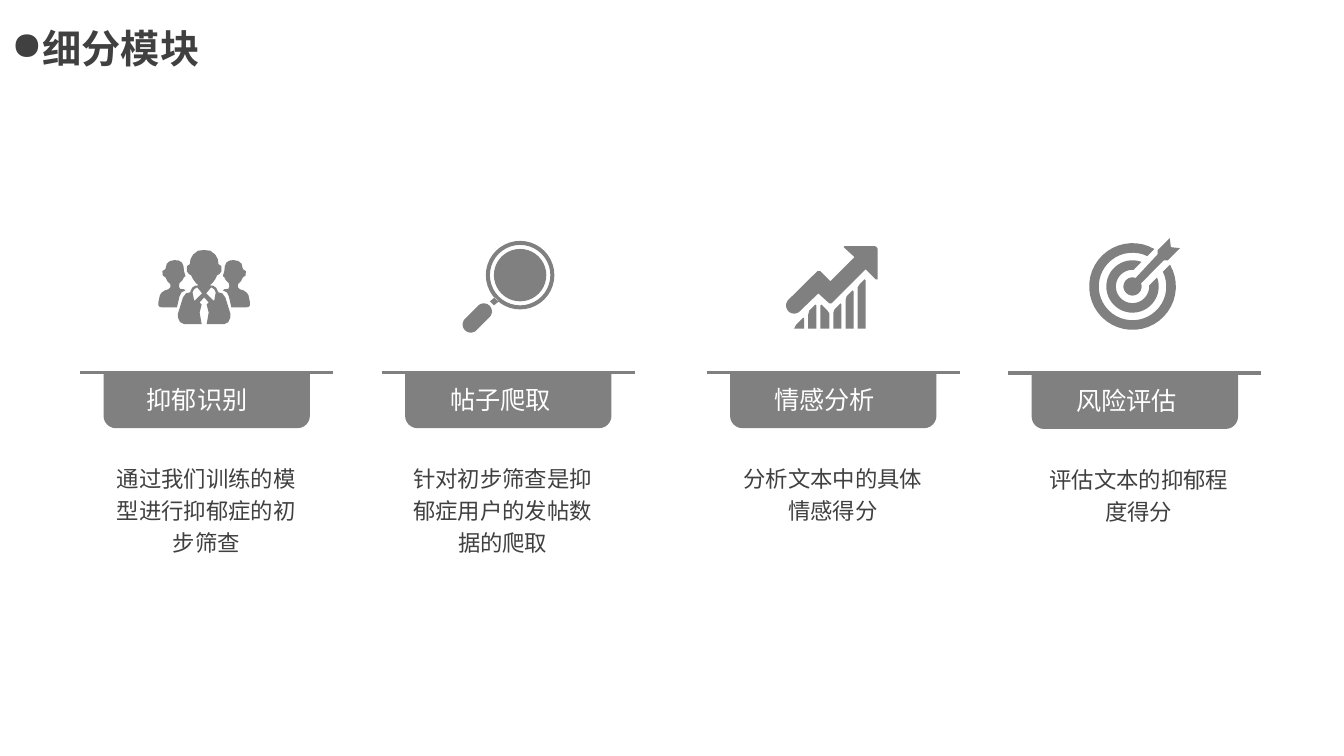
import math

import pptx
import pptx.dml.color
import pptx.enum.shapes
import pptx.enum.text
import pptx.oxml
import pptx.oxml.ns
import pptx.util
from pptx.util import Cm

FONT = "Noto Sans CJK SC"
GREY, DARK, WHITE = "808080", "404040", "FFFFFF"
ALIGN = pptx.enum.text.PP_ALIGN
ICON_UNIT = Cm(0.0254)  # icons are drawn on a grid about 91 units wide
FINE = 100  # subdivisions of one icon unit


def colour(hex_text):
    return pptx.dml.color.RGBColor.from_string(hex_text)


def set_all(target, values):
    for name, value in values.items():
        setattr(target, name, value)


def fill_plain(shape):
    shape.shadow.inherit = False
    shape.fill.solid()
    shape.fill.fore_color.rgb = colour(GREY)
    shape.line.fill.background()


def write(shape, text, size, ink, paragraph_format, bold=False, wrap=True):
    frame = shape.text_frame
    set_all(frame, {"word_wrap": wrap,
                    "auto_size": pptx.enum.text.MSO_AUTO_SIZE.SHAPE_TO_FIT_TEXT})
    paragraph = frame.paragraphs[0]
    set_all(paragraph, paragraph_format)
    run = paragraph.add_run()
    run.text = text
    set_all(run.font, {"name": FONT, "size": pptx.util.Pt(size), "bold": bold})
    run.font.color.rgb = colour(ink)
    east_asian = pptx.oxml.parse_xml(
        f'<a:ea {pptx.oxml.ns.nsdecls("a")} typeface="{FONT}"/>')
    run.font._element.find(pptx.oxml.ns.qn("a:latin")).addnext(east_asian)
    return paragraph


# Icon outlines: each icon is a list of closed contours

def arc(x, y, radius, start=0, end=360):
    """Points along an arc, angles in degrees clockwise from the right."""
    steps = 40
    angles = [math.radians(start + (end - start) * i / steps) for i in range(steps + 1)]
    return [(x + radius * math.cos(a), y + radius * math.sin(a)) for a in angles]


def mirrored(points, axis=45.5):
    """The same points, given as offsets from the axis, on its two sides."""
    return [[(axis + side * dx, y) for dx, y in points] for side in (1, -1)]


def people():
    leader_half = [
        (0, 0), (6, 0.7), (11, 4.5), (13.5, 9), (14.2, 14), (17, 16), (17.2, 21),
        (15, 24), (13, 25), (11, 29), (8, 33), (5.5, 35), (9, 35.5), (12, 37.5),
        (14, 42), (18, 43), (21, 47), (26, 63), (26, 67), (24, 71.5), (20, 73.5),
        (2.5, 73.5), (4.5, 62), (2.5, 54), (4.5, 52), (0, 47)]
    collar = [(7, 37), (2, 43), (9, 50), (10, 50), (11.5, 42), (10, 39)]
    colleague = [
        (29.5, 10), (34, 11), (37, 13.5), (38.5, 19), (41.5, 21), (41, 25.5),
        (38.5, 27), (36.5, 31), (33.5, 34), (33.5, 37), (35.5, 39), (39, 40),
        (42.5, 42.5), (44, 45), (45.5, 52), (45.5, 55), (44, 56.5), (41, 57),
        (27, 57), (24.5, 46), (22.5, 42), (18.5, 40), (20, 39), (24, 38.5),
        (25, 36), (24.5, 33), (21.5, 30), (20, 27), (18.5, 26), (20, 21),
        (20.5, 16), (22, 12.5), (25, 10.5)]
    right, left = mirrored(leader_half)
    return [right + left[::-1]] + mirrored(collar) + mirrored(colleague)


def magnifier():
    lens = [arc(57, 34, radius) for radius in (34, 30, 26)]
    neck = [(32, 56), (36, 60), (31, 64), (27, 60)]
    handle = arc(21, 70, 8, -135, 45) + arc(8, 83, 8, 45, 225)
    return lens + [neck, handle]


def growth():
    bars = [
        [(8, 82), (10, 78), (17, 71), (18, 72), (18, 82)],
        [(22, 82), (22, 68), (23, 64), (29, 58), (30, 59), (30, 82)],
        [(34, 82), (34, 59), (35, 58), (41, 64), (43, 67), (43, 82)],
        [(47, 82), (47, 66), (48, 63), (54, 57), (55, 58), (55, 82)],
        [(59, 82), (59, 54), (60, 50), (66, 44), (67, 45), (67, 82)],
        [(71, 82), (71, 41), (73, 38), (78, 33), (79, 34), (79, 82)]]
    arrow = ([(57, 1), (58, 0)] + arc(87, 4, 4, -90, 0)
             + [(91, 33), (89, 33), (79, 23), (45, 57), (43, 57), (32, 47)]
             + arc(8, 59, 8, 45, 225)
             + [(31, 25), (34, 25), (44, 35), (68, 11)])
    return bars + [arrow]


def target():
    x, y, half_gap = 43, 48, 11

    def ring(outer, inner):
        ends = []
        for radius in (outer, inner):
            gap = math.degrees(math.asin(half_gap / radius))
            ends.append((gap - 45, 315 - gap))
        return arc(x, y, outer, *ends[0]) + arc(x, y, inner, *ends[1][::-1])

    dart = arc(x, y, 9, -20, 290) + [(68, 16), (68, 12), (80, 0), (81, 9),
                                     (90, 10), (78, 22), (74, 22)]
    return [ring(43, 33.5), ring(26, 16.5), dart]


def draw_icon(slide, left, top, contours):
    fine = [[(round(x * FINE), round(y * FINE)) for x, y in c] for c in contours]
    builder = slide.shapes.build_freeform(*fine[0][0], scale=ICON_UNIT / FINE)
    for i, points in enumerate(fine):
        if i:
            builder.move_to(*points[0])
        builder.add_line_segments(points[1:], close=True)
    fill_plain(builder.convert_to_shape(left, top))


# Heading with a round bullet
def add_heading(slide, left, top, width, height, text):
    heading = slide.shapes.title
    set_all(heading, {"left": left, "top": top, "width": width, "height": height})
    paragraph = write(heading, text, 28, DARK, {"alignment": ALIGN.CENTER},
                      bold=True, wrap=False)
    properties = paragraph._p.get_or_add_pPr()
    properties.set("marL", str(Cm(0.79)))
    properties.set("indent", str(Cm(-0.79)))
    properties.append(pptx.oxml.parse_xml(
        f'<a:buChar {pptx.oxml.ns.nsdecls("a")} char="●"/>'))


# One module: icon, tab hanging from a rule, label and description
def add_module(slide, left, top, module):
    tab_width, overhang = Cm(5.2), Cm(0.59)
    draw_icon(slide, left + Cm(module["icon_x"]), top - Cm(module["icon_rise"]),
              module["icon"]())

    tab = slide.shapes.add_shape(
        pptx.enum.shapes.MSO_SHAPE.ROUND_2_SAME_RECTANGLE,
        left, top, tab_width, Cm(1.41))
    tab.adjustments[0], tab.adjustments[1] = 0, 0.22
    fill_plain(tab)

    rule = slide.shapes.add_connector(
        pptx.enum.shapes.MSO_CONNECTOR.STRAIGHT,
        left - overhang, top, left + tab_width + overhang, top)
    rule.line.color.rgb = colour(GREY)
    rule.line.width = pptx.util.Pt(2.25)
    rule._element.spPr.append(pptx.oxml.parse_xml(
        f'<a:effectLst {pptx.oxml.ns.nsdecls("a")}/>'))

    label = slide.shapes.add_textbox(
        left + Cm(module["label_x"]), top + Cm(0.19), Cm(3.48), Cm(1.02))
    write(label, module["label"], 18, WHITE, {"alignment": ALIGN.JUSTIFY})

    description = slide.shapes.add_textbox(
        left + Cm(module["text_x"]), top + Cm(2.08), Cm(5.18), Cm(module["text_height"]))
    write(description, module["text"], 16, DARK,
          {"alignment": ALIGN.CENTER, "line_spacing": 1.2})


MODULES = [
    {"x": 2.61, "y": 9.38, "icon": people, "icon_x": 1.38, "icon_rise": 3.08,
     "label": "抑郁识别", "label_x": 0.84, "text_x": 0, "text_height": 2.67,
     "text": "通过我们训练的模型进行抑郁症的初步筛查"},
    {"x": 10.21, "y": 9.38, "icon": magnifier, "icon_x": 1.45, "icon_rise": 3.31,
     "label": "帖子爬取", "label_x": 0.89, "text_x": -0.13, "text_height": 2.67,
     "text": "针对初步筛查是抑郁症用户的发帖数据的爬取"},
    {"x": 18.4, "y": 9.38, "icon": growth, "icon_x": 1.41, "icon_rise": 3.18,
     "label": "情感分析", "label_x": 0.86, "text_x": 0, "text_height": 1.83,
     "text": "分析文本中的具体情感得分"},
    {"x": 26, "y": 9.4, "icon": target, "icon_x": 1.45, "icon_rise": 3.4,
     "label": "风险评估", "label_x": 0.87, "text_x": 0.11, "text_height": 1.83,
     "text": "评估文本的抑郁程度得分"},
]


def main():
    deck = pptx.Presentation()
    set_all(deck, {"slide_width": Cm(33.87), "slide_height": Cm(19.05)})
    slide = deck.slides.add_slide(deck.slide_layouts.get_by_name("Title Only"))
    add_heading(slide, Cm(0), Cm(0.48), Cm(5.31), Cm(1.45), "细分模块")
    for module in MODULES:
        add_module(slide, Cm(module["x"]), Cm(module["y"]), module)
    deck.save("out.pptx")


if __name__ == "__main__":
    main()
